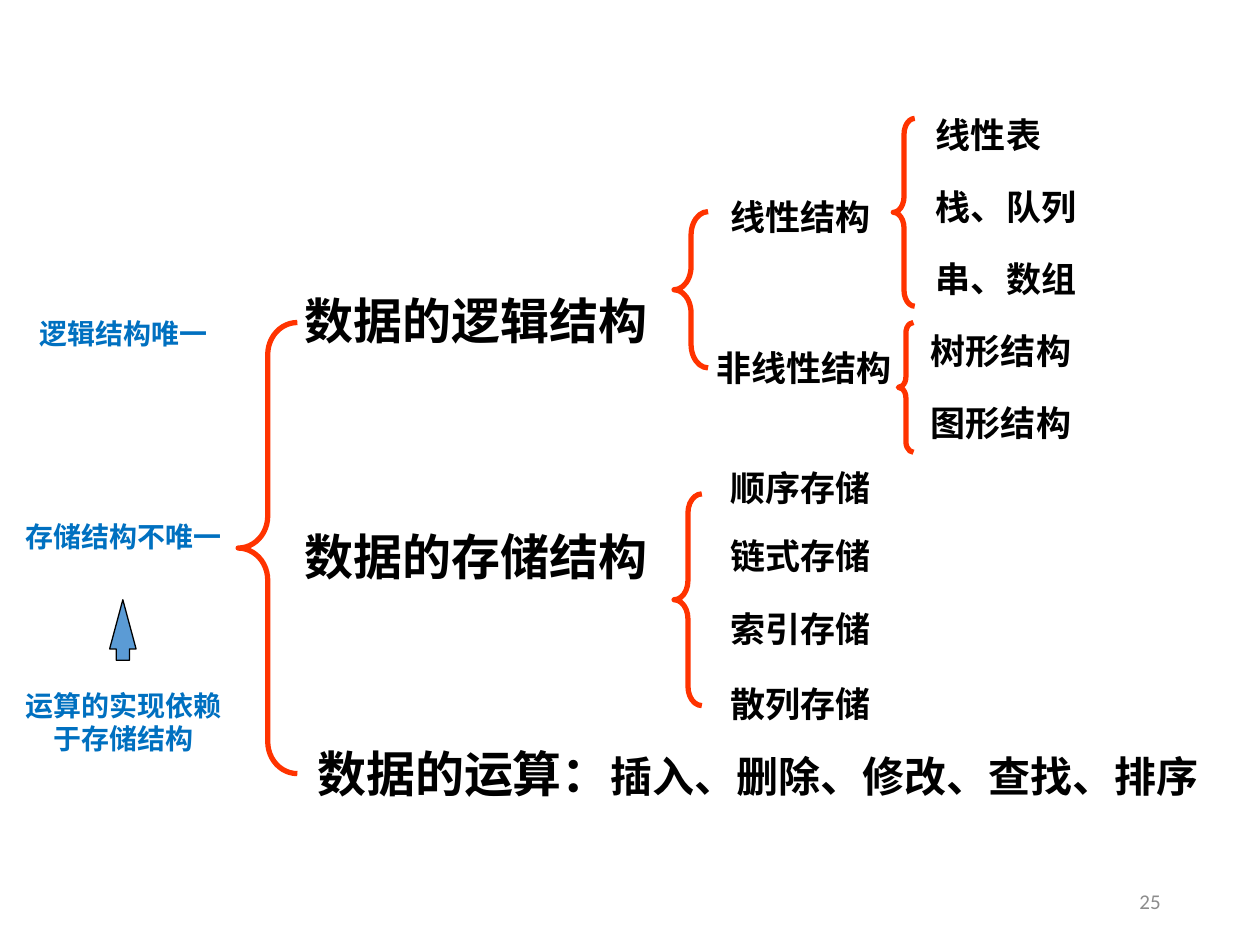
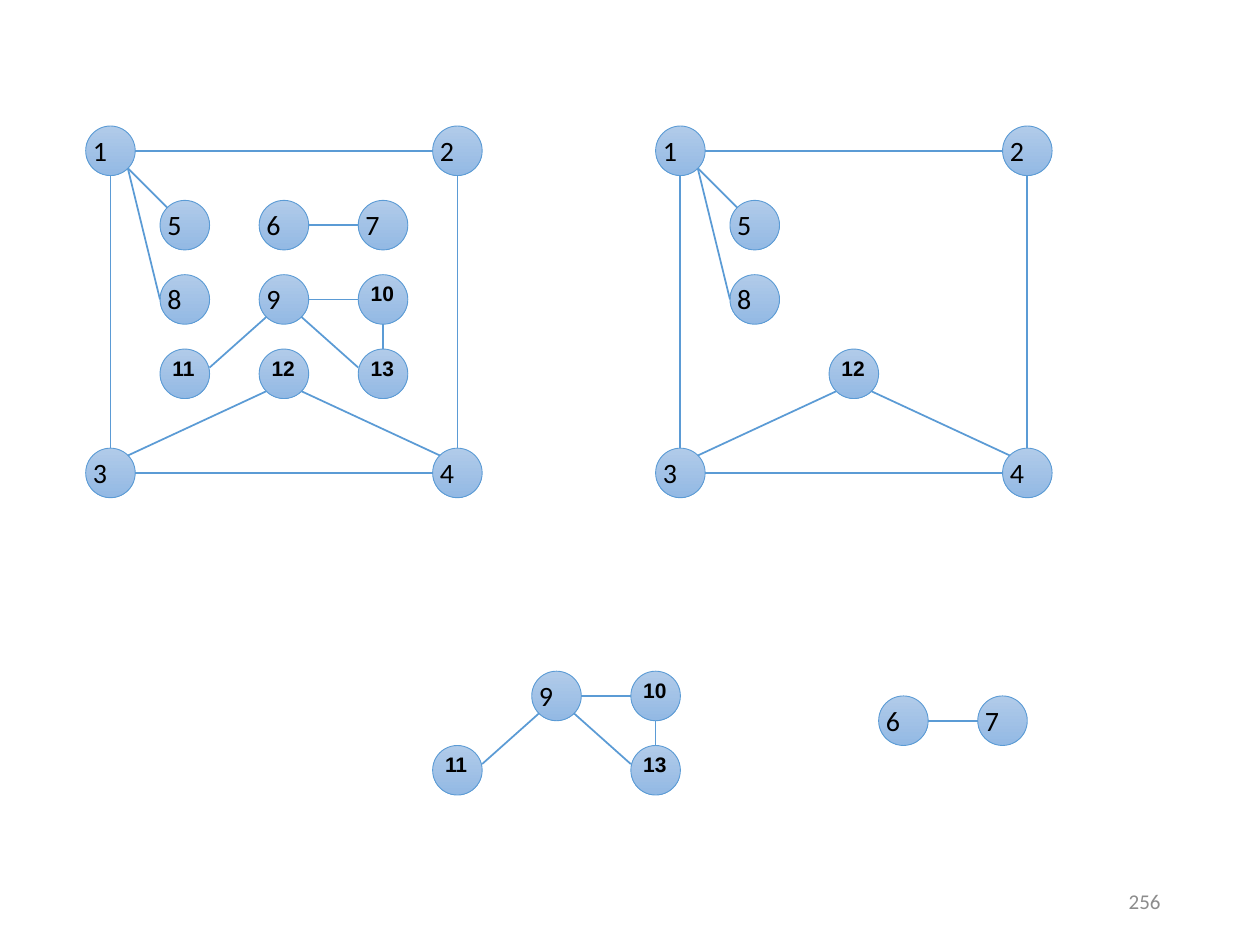
import pptx
import pptx.util
import pptx.dml.color
import pptx.enum.shapes
import pptx.enum.text
import pptx.oxml
import pptx.oxml.ns

Inches, Pt = pptx.util.Inches, pptx.util.Pt
RGBColor = pptx.dml.color.RGBColor
SHAPE = pptx.enum.shapes.MSO_SHAPE
ALIGN = pptx.enum.text.PP_ALIGN
ANCHOR = pptx.enum.text.MSO_ANCHOR

BLACK = RGBColor(0x00, 0x00, 0x00)
NOTE_BLUE = RGBColor(0x00, 0x70, 0xC0)
BRACE_RED = RGBColor(0xFF, 0x33, 0x00)
ACCENT_BLUE = RGBColor(0x5B, 0x9B, 0xD5)
NODE_TOP = RGBColor(0xB1, 0xCB, 0xE9)
NODE_BOTTOM = RGBColor(0x93, 0xB9, 0xE4)
PAGE_GREY = RGBColor(0x8C, 0x8C, 0x8C)
CJK_FONT, BODY_FONT, LABEL_FONT = "Noto Sans CJK SC", "Calibri", "Arial"
PADDING = 0.1

deck = pptx.Presentation()
deck.slide_width, deck.slide_height = Inches(10), Inches(7.5)
blank = deck.slide_layouts[6]


def style_run(run, size, font, color, bold):
    run.font.size, run.font.name = Pt(size), font
    run.font.color.rgb, run.font.bold = color, bold
    if font == CJK_FONT:
        east_asian = pptx.oxml.parse_xml(
            f'<a:ea {pptx.oxml.ns.nsdecls("a")} typeface="{font}"/>')
        run.font._element.find(pptx.oxml.ns.qn("a:latin")).addnext(east_asian)


def add_text(slide, box, parts, font, color, bold=True, align=ALIGN.LEFT,
             anchor=ANCHOR.MIDDLE, wrap=True):
    """Add one paragraph made of (text, size) parts in a left, top, width, height box."""
    frame = slide.shapes.add_textbox(*map(Inches, box)).text_frame
    frame.word_wrap, frame.vertical_anchor = wrap, anchor
    paragraph = frame.paragraphs[0]
    paragraph.alignment = align
    for text, size in parts:
        run = paragraph.add_run()
        run.text = text
        style_run(run, size, font, color, bold)
    return paragraph


overview, graphs = (deck.slides.add_slide(blank) for _ in range(2))
for slide, number in ((overview, "25"), (graphs, "256")):
    add_text(slide, (7.06, 6.95, 2.25, 0.4), [(number, 12)], BODY_FONT, PAGE_GREY,
             bold=False, align=ALIGN.RIGHT)

# Overview: braces from the whole to its parts
braces = [
    (1.89, 2.56, 0.47, 3.58, 0.54),
    (5.35, 1.68, 0.27, 1.24, 0.69),
    (5.35, 3.92, 0.22, 1.68, 0.69),
    (7.09, 0.94, 0.17, 1.49, 0.74),
    (7.13, 2.56, 0.12, 1.03, 0.69),
]
for *box, curl in braces:
    brace = overview.shapes.add_shape(SHAPE.LEFT_BRACE, *map(Inches, box))
    brace.shadow.inherit = False
    brace.fill.background()
    brace.line.color.rgb, brace.line.width = BRACE_RED, Pt(3)
    brace.adjustments[0] = curl

# Each term: left edge of its text, middle height, parts
TOPIC_X, GROUP_X, LEAF_X = 2.42, 5.8, 7.43
LEAF_TOP, LEAF_STEP = 1.07, 0.57
terms = [
    (TOPIC_X, 2.54, [("数据的逻辑结构", 28)]),
    (TOPIC_X, 4.41, [("数据的存储结构", 28)]),
    (TOPIC_X + 0.1, 6.13, [("数据的运算：", 28), ("插入、删除、修改、查找、排序", 24)]),
    (GROUP_X, 1.72, [("线性结构", 20)]),
    (GROUP_X - 0.11, 2.92, [("非线性结构", 20)]),
    (GROUP_X, 3.87, [("顺序存储", 20)]),
    (GROUP_X, 4.41, [("链式存储", 20)]),
    (GROUP_X, 4.99, [("索引存储", 20)]),
    (GROUP_X, 5.58, [("散列存储", 20)]),
]
leaves = ["线性表", "栈、队列", "串、数组", "树形结构", "图形结构"]
for row, leaf in enumerate(leaves):
    left = LEAF_X if row < 3 else LEAF_X - 0.04
    terms.append((left, LEAF_TOP + row * LEAF_STEP, [(leaf, 20)]))

for left, middle, parts in terms:
    width = sum(len(text) * size for text, size in parts) / 72 + 2 * PADDING
    height = parts[0][1] * 1.2 / 72 + PADDING
    add_text(overview, (left - PADDING, middle - height / 2, width, height),
             parts, CJK_FONT, BLACK, wrap=False)

for note, middle, height in (("逻辑结构唯一", 2.65, 0.37),
                             ("存储结构不唯一", 4.26, 0.37),
                             ("运算的实现依赖于存储结构", 5.73, 0.63)):
    paragraph = add_text(overview, (0.07, middle - height / 2, 1.82, height),
                         [(note, 16)], CJK_FONT, NOTE_BLUE, align=ALIGN.CENTER)
    paragraph.line_spacing = Pt(19)

depends_on = overview.shapes.add_shape(
    SHAPE.UP_ARROW, *map(Inches, (0.87, 4.76, 0.21, 0.48)))
depends_on.shadow.inherit = False
depends_on.fill.solid()
depends_on.fill.fore_color.rgb = ACCENT_BLUE
depends_on.line.color.rgb, depends_on.line.width = BLACK, Pt(0.75)
depends_on.adjustments[0], depends_on.adjustments[1] = 0.5, 1.86

# Graphs: every node sits on a grid whose unit is a node's radius
UNIT = 0.59 / 3
GRID_LEFT, GRID_TOP = 0.68, 1.0
node_cells = {
    1: (0, 0), 2: (14, 0), 3: (0, 13), 4: (14, 13),
    5: (3, 3), 6: (7, 3), 7: (11, 3),
    8: (3, 6), 9: (7, 6), 10: (11, 6),
    11: (3, 9), 12: (7, 9), 13: (11, 9),
}
# Where an edge meets a node, in radii from its centre;
# "wl" and "el" are the sides of a two-digit label
ports = {
    "n": (0, -1), "s": (0, 1), "w": (-1, 0), "e": (1, 0),
    "nw": (-0.7, -0.7), "ne": (0.7, -0.7), "sw": (-0.7, 0.7), "se": (0.7, 0.7),
    "wl": (-1, -0.25), "el": (1, -0.25),
}
frame_edges = [
    (1, "e", 2, "w"), (1, "s", 3, "n"), (2, "s", 4, "n"), (4, "w", 3, "e"),
    (1, "se", 5, "nw"), (1, "se", 8, "w"), (12, "se", 4, "nw"), (12, "sw", 3, "ne"),
]
triangle_edges = [
    (9, "e", 10, "w"), (13, "n", 10, "s"), (9, "se", 13, "wl"), (9, "sw", 11, "el"),
]
pair_edges = [(6, "e", 7, "w")]
drawings = [
    (0, 0, frame_edges + triangle_edges + pair_edges),
    (23, 0, frame_edges),
    (11, 16, triangle_edges),
    (25, 20, pair_edges),
]

for shift_x, shift_y, edges in drawings:
    corners = {node: (GRID_LEFT + (column + shift_x) * UNIT,
                      GRID_TOP + (row + shift_y) * UNIT)
               for node, (column, row) in node_cells.items()}
    for node in sorted({end for edge in edges for end in edge[::2]}):
        box = (*corners[node], 2 * UNIT, 2 * UNIT)
        circle = graphs.shapes.add_shape(SHAPE.OVAL, *map(Inches, box))
        circle.shadow.inherit = False
        circle.fill.gradient()
        circle.fill.gradient_angle = 270
        for stop, color in zip(circle.fill.gradient_stops, (NODE_TOP, NODE_BOTTOM)):
            stop.color.rgb = color
        circle.line.color.rgb, circle.line.width = ACCENT_BLUE, Pt(0.5)
        if node >= 10:
            add_text(graphs, (*box[:3], 0.3), [(str(node), 12)], LABEL_FONT, BLACK,
                     anchor=ANCHOR.TOP)
            continue
        frame = circle.text_frame
        frame.margin_left = frame.margin_top = frame.margin_bottom = 0
        frame.margin_right = Inches(0.2)
        frame.vertical_anchor = ANCHOR.TOP
        frame.text = str(node)
        frame.paragraphs[0].alignment = ALIGN.CENTER
        style_run(frame.paragraphs[0].runs[0], 16, BODY_FONT, BLACK, False)

    for start, start_port, end, end_port in edges:
        points = [Inches(corner + (1 + offset) * UNIT)
                  for node, port in ((start, start_port), (end, end_port))
                  for corner, offset in zip(corners[node], ports[port])]
        edge = graphs.shapes.add_connector(
            pptx.enum.shapes.MSO_CONNECTOR.STRAIGHT, *points)
        edge.line.color.rgb, edge.line.width = ACCENT_BLUE, Pt(1)
        edge._element.spPr.append(pptx.oxml.parse_xml(
            f'<a:effectLst {pptx.oxml.ns.nsdecls("a")}/>'))

deck.save("out.pptx")
